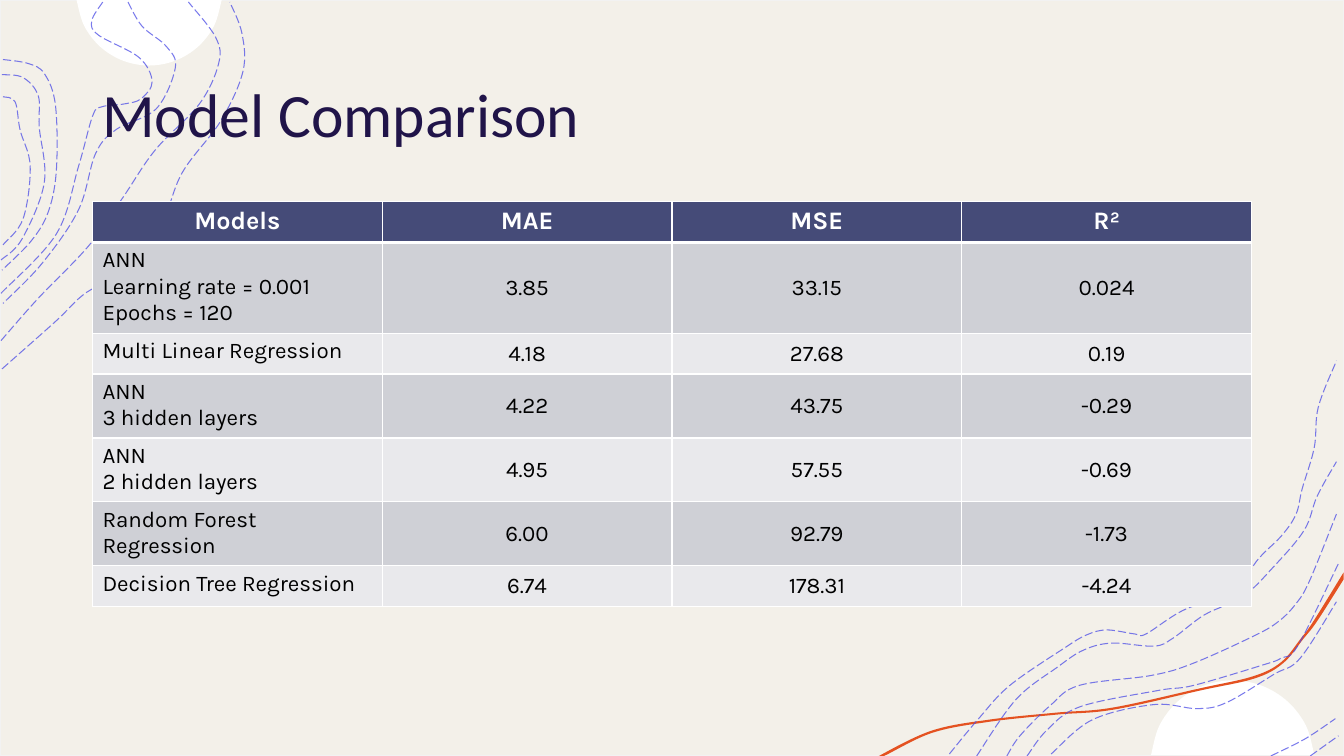
from dataclasses import dataclass
from math import atan2, cos, pi, sin

from lxml.etree import SubElement
from pptx import Presentation
from pptx.dml.color import RGBColor
from pptx.enum.dml import MSO_LINE
from pptx.enum.shapes import MSO_SHAPE
from pptx.enum.text import MSO_ANCHOR, PP_ALIGN
from pptx.oxml import parse_xml
from pptx.oxml.ns import nsdecls, qn
from pptx.shapes.autoshape import Shape
from pptx.slide import Slide
from pptx.table import _Cell
from pptx.util import Cm, Pt

Point = tuple[float, float]
GRID = 2.54  # cm per unit of the drawing grid used for outline points


@dataclass(frozen=True)
class Theme:
    paper: str = "F3F0E9"
    paper_edge: str = "F2F2F2"
    white: str = "FFFFFF"
    ribbon: str = "E45221"
    contour: str = "4D4EE6"
    title: str = "201449"
    header: str = "454B78"
    bands: tuple[str, str] = ("CFD0D6", "E9E9EC")
    body_text: str = "000000"
    title_font: str = "Calibri"
    table_font: str = "Karla"
    title_size: int = 44
    header_size: int = 18
    body_size: int = 16


@dataclass(frozen=True)
class Cap:
    """Part of a disc cut off by the slide edge; depth is negative when it rises."""
    center: float
    edge: float
    half_width: float
    depth: float


@dataclass(frozen=True)
class ModelScore:
    model: str
    mae: str
    mse: str
    r2: str


THEME = Theme()
CAPS = [Cap(1.48, 0, 0.72, 0.65), Cap(12.23, 7.49, 0.81, -0.74)]
HEADINGS = ModelScore("Models", "MAE", "MSE", "R²")
SCORES = [
    ModelScore("ANN\nLearning rate = 0.001\nEpochs = 120", "3.85", "33.15", "0.024"),
    ModelScore("Multi Linear Regression", "4.18", "27.68", "0.19"),
    ModelScore("ANN\n3 hidden layers", "4.22", "43.75", "-0.29"),
    ModelScore("ANN\n2 hidden layers", "4.95", "57.55", "-0.69"),
    ModelScore("Random Forest Regression", "6.00", "92.79", "-1.73"),
    ModelScore("Decision Tree Regression", "6.74", "178.31", "-4.24"),
]

# Lower edge from right to left, then upper edge back
RIBBON = [
    (13.33, 5.75), (13.07, 6.16), (12.93, 6.34), (12.73, 6.58), (12.45, 6.73), (11.91, 6.85),
    (11.05, 7.04), (10.48, 7.09), (9.82, 7.16), (9.25, 7.27), (8.77, 7.5),
    (8.72, 7.5), (9.24, 7.25), (9.81, 7.14), (10.48, 7.07), (11.04, 7.02), (11.9, 6.83),
    (12.43, 6.71), (12.71, 6.57), (12.91, 6.33), (13.04, 6.15), (13.33, 5.68)]

TOP_LEFT_CONTOURS = [
    [(0.02, 3.66), (0.55, 3.19), (0.86, 2.9), (1.27, 2.69), (1.6, 2.23), (1.81, 1.71),
     (2.19, 1.2), (2.41, 0.71), (2.4, 0.33), (2.28, 0.02)],
    [(0.01, 3.38), (0.38, 2.96), (0.88, 2.44), (1.22, 1.96), (1.54, 1.49), (1.98, 1.03),
     (2.17, 0.63), (2.14, 0.37), (1.87, 0.02)],
    [(1.27, 0.02), (1.41, 0.26), (1.65, 0.46), (1.74, 0.67), (1.55, 1.08), (1.16, 1.28),
     (0.95, 1.52), (0.78, 2.08), (0.42, 2.61), (0.03, 3.01)],
    [(0.01, 2.91), (0.56, 2.32), (0.78, 1.65), (0.92, 1.15), (1.01, 1.06), (1.24, 1.03),
     (1.4, 0.98), (1.51, 0.81), (1.38, 0.57), (0.98, 0.35), (0.91, 0.21), (1.02, 0.02)],
    [(0.03, 0.59), (0.28, 0.63), (0.44, 0.73), (0.55, 1.04), (0.56, 1.68), (0.48, 2.1),
     (0.31, 2.39), (0.02, 2.68)],
    [(0.02, 0.74), (0.23, 0.77), (0.38, 0.95), (0.39, 1.26), (0.44, 1.81), (0.22, 2.37),
     (0.01, 2.58)],
    [(0.03, 0.96), (0.15, 1.01), (0.2, 1.29), (0.3, 1.65), (0.23, 2.17), (0.03, 2.43)],
]
BOTTOM_RIGHT_CONTOURS = [
    [(9.42, 7.48), (9.71, 7.13), (10.02, 6.8), (10.56, 6.43), (10.78, 6.3), (10.98, 6.25),
     (11.26, 6.29), (11.37, 6.29), (11.73, 6.06), (12.24, 5.85), (12.49, 5.54), (12.72, 5.31),
     (12.86, 5.1), (12.92, 4.85), (13.04, 4.44), (13.08, 4.04), (13.26, 3.58)],
    [(9.69, 7.5), (10.08, 6.94), (10.49, 6.62), (10.75, 6.45), (11.03, 6.38), (11.45, 6.41),
     (11.64, 6.33), (11.95, 6.1), (12.33, 5.92), (12.63, 5.63), (12.94, 5.26), (13.07, 4.92),
     (13.26, 4.58)],
    [(13, 7.5), (13.28, 7.3)],
    [(12.61, 7.5), (12.95, 7.33), (13.25, 7.13)],
    [(10.43, 7.48), (10.84, 7.14), (11.45, 6.99), (11.88, 7.03), (12.17, 6.97), (12.64, 6.69),
     (12.9, 6.53), (13.26, 5.97)],
    [(10.19, 7.5), (10.39, 7.24), (10.72, 7.01), (11.49, 6.85), (11.84, 6.8), (12.52, 6.6),
     (12.71, 6.53), (12.88, 6.4), (13.28, 5.59)],
    [(9.99, 7.5), (10.12, 7.3), (10.42, 7), (10.71, 6.8), (11.43, 6.7), (11.84, 6.58),
     (12.44, 6.31), (12.68, 6.17), (12.85, 6), (12.99, 5.77), (13.26, 5.1)],
]


def rgb(value: str) -> RGBColor:
    return RGBColor.from_string(value)


def cap_outline(cap: Cap, steps: int = 8) -> list[Point]:
    height = abs(cap.depth)
    radius = (cap.half_width**2 + height**2) / (2 * height)
    start = atan2(radius - height, cap.half_width)
    sign = 1 if cap.depth > 0 else -1
    angles = [start + (pi - 2 * start) * step / steps for step in range(steps + 1)]
    return [(cap.center + radius * cos(angle),
             cap.edge + sign * (radius * sin(angle) - radius + height)) for angle in angles]


def round_segments(shape: Shape) -> None:
    """Turn the straight segments into Bézier curves through the same anchors."""
    anchors = [(int(pt.get("x")), int(pt.get("y"))) for pt in shape.element.xpath(".//a:pt")]
    padded = [anchors[0], *anchors, anchors[-1]]
    for index, segment in enumerate(shape.element.xpath(".//a:lnTo")):
        before, start, end, after = padded[index:index + 4]
        segment.tag = qn("a:cubicBezTo")
        for position, (base, ahead, behind) in enumerate(((start, end, before),
                                                          (end, start, after))):
            x, y = (round(base[axis] + (ahead[axis] - behind[axis]) / 6) for axis in (0, 1))
            segment.insert(position, parse_xml(f'<a:pt {nsdecls("a")} x="{x}" y="{y}"/>'))


def add_outline(slide: Slide, points: list[Point], fill: str | None = None) -> None:
    """Closed and filled when a fill is given, otherwise a dashed open line."""
    start, *rest = [(Cm(GRID * x), Cm(GRID * y)) for x, y in points]
    builder = slide.shapes.build_freeform(*start)
    builder.add_line_segments(rest, close=fill is not None)
    shape = builder.convert_to_shape()
    round_segments(shape)
    shape.shadow.inherit = False
    if fill:
        shape.fill.solid()
        shape.fill.fore_color.rgb = rgb(fill)
        shape.line.fill.background()
        return
    shape.fill.background()
    shape.line.color.rgb = rgb(THEME.contour)
    shape.line.width = Pt(0.75)
    shape.line.dash_style = MSO_LINE.LONG_DASH
    SubElement(shape.element.xpath(".//a:ln//a:srgbClr")[0], qn("a:alpha"), val="75000")


def style_cell(cell: _Cell, text: str, row: int, column: int) -> None:
    header = row == 0
    cell.text = text
    cell.fill.solid()
    cell.fill.fore_color.rgb = rgb(THEME.header if header else THEME.bands[(row - 1) % 2])
    if not header and column:
        cell.vertical_anchor = MSO_ANCHOR.MIDDLE
    for paragraph in cell.text_frame.paragraphs:
        paragraph.alignment = PP_ALIGN.CENTER if header or column else PP_ALIGN.LEFT
        paragraph.font.name = THEME.table_font
        paragraph.font.size = Pt(THEME.header_size if header else THEME.body_size)
        paragraph.font.bold = header
        paragraph.font.color.rgb = rgb(THEME.white if header else THEME.body_text)
    widths = {"L": 1, "R": 1, "T": 3 if row == 1 else 1, "B": 3 if header else 1}
    for index, (side, width) in enumerate(widths.items()):
        cell._tc.get_or_add_tcPr().insert(index, parse_xml(
            f'<a:ln{side} {nsdecls("a")} w="{int(Pt(width))}"><a:solidFill>'
            f'<a:srgbClr val="{THEME.white}"/></a:solidFill></a:ln{side}>'))


def add_scores(slide: Slide) -> None:
    rows = [HEADINGS, *SCORES]
    row_height = Cm(1.03)
    table = slide.shapes.add_table(len(rows), 4, Cm(2.33), Cm(5.08), Cm(29.21),
                                   row_height * len(rows)).table
    for row, score in enumerate(rows):
        table.rows[row].height = row_height
        for column, text in enumerate((score.model, score.mae, score.mse, score.r2)):
            style_cell(table.cell(row, column), text, row, column)


def main() -> None:
    deck = Presentation()
    deck.slide_width, deck.slide_height = Cm(33.87), Cm(19.05)
    slide = deck.slides.add_slide(deck.slide_layouts[6])

    # Paper and decoration
    paper = slide.shapes.add_shape(MSO_SHAPE.RECTANGLE, 0, 0, deck.slide_width, deck.slide_height)
    paper.shadow.inherit = False
    paper.fill.solid()
    paper.fill.fore_color.rgb = rgb(THEME.paper)
    paper.line.color.rgb = rgb(THEME.paper_edge)
    paper.line.width = Pt(1)
    for cap in CAPS:
        add_outline(slide, cap_outline(cap), THEME.white)
    add_outline(slide, RIBBON, THEME.ribbon)
    for contour in TOP_LEFT_CONTOURS + BOTTOM_RIGHT_CONTOURS:
        add_outline(slide, contour)

    # Title
    title = slide.shapes.add_textbox(Cm(2.33), Cm(1.01), Cm(29.21), Cm(3.68)).text_frame
    title.word_wrap = True
    title.vertical_anchor = MSO_ANCHOR.MIDDLE
    heading = title.paragraphs[0]
    heading.text = "Model Comparison"
    heading.font.name = THEME.title_font
    heading.font.size = Pt(THEME.title_size)
    heading.font.color.rgb = rgb(THEME.title)

    # Model scores
    add_scores(slide)
    deck.save("out.pptx")


if __name__ == "__main__":
    main()
